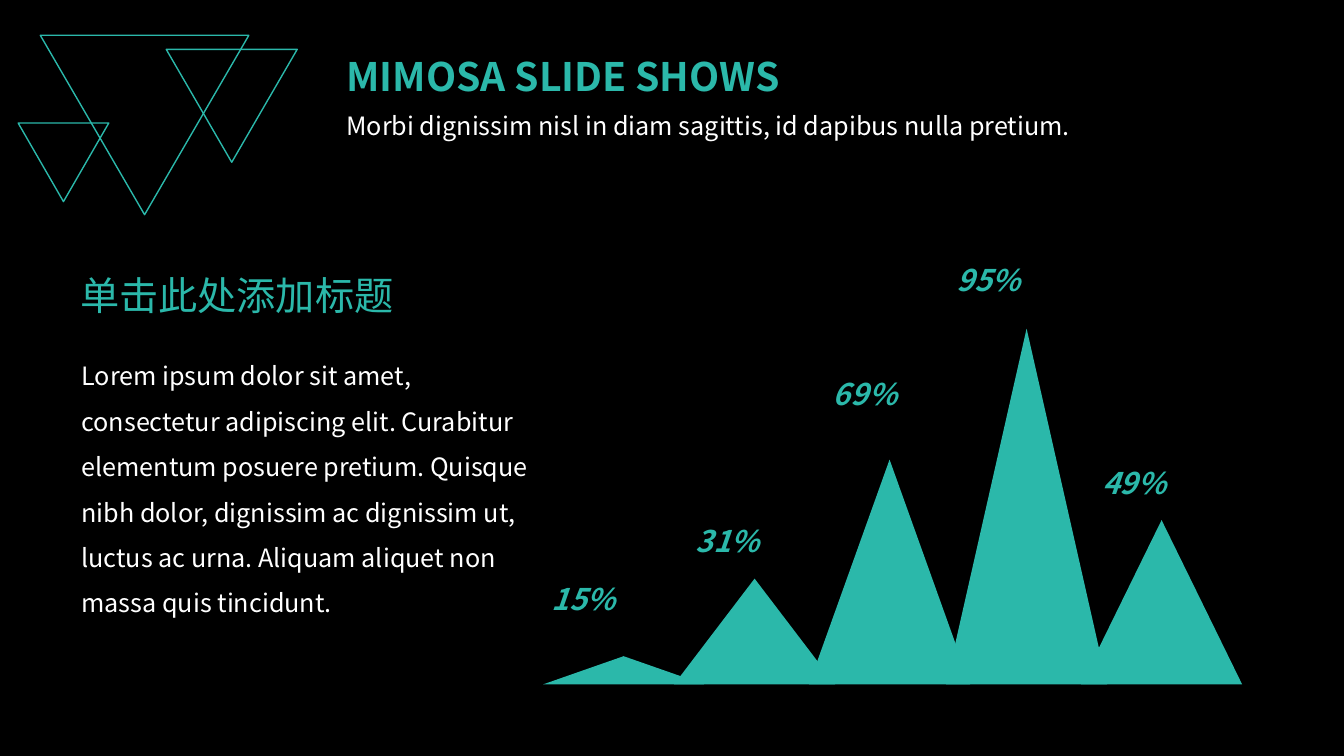
"""Build a dark slide with a row of percentage peaks beside a text column."""
from dataclasses import dataclass

from lxml.etree import SubElement
from pptx import Presentation
from pptx.dml.color import RGBColor
from pptx.enum.shapes import MSO_SHAPE as Shape
from pptx.enum.text import MSO_AUTO_SIZE as AutoSize
from pptx.oxml.ns import qn
from pptx.util import Inches, Pt


@dataclass(frozen=True)
class Theme:
    """Colours, font and type sizes."""
    background: RGBColor = RGBColor(0x00, 0x00, 0x00)
    accent: RGBColor = RGBColor(0x2B, 0xB8, 0xAA)
    body: RGBColor = RGBColor(0xFF, 0xFF, 0xFF)
    font: str = "Noto Sans CJK SC"
    heading_size: float = 28
    label_size: float = 21.3
    body_size: float = 18


THEME = Theme()
TITLE = "MIMOSA SLIDE SHOWS"
SUBTITLE = "Morbi dignissim nisl in diam sagittis, id dapibus nulla pretium."
HEADING = "单击此处添加标题"
PARAGRAPH = (
    "Lorem ipsum dolor sit amet, consectetur adipiscing elit. Curabitur "
    "elementum posuere pretium. Quisque nibh dolor, dignissim ac dignissim ut, "
    "luctus ac urna. Aliquam aliquet non massa quis tincidunt."
)
OUTLINE_TRIANGLES = [
    (0.4, 0.35, 2.07, 1.78),
    (1.65, 0.49, 1.3, 1.12),
    (0.18, 1.22, 0.9, 0.78),
]
PEAKS = [
    {"label": "15%", "apex": (6.19, 6.51), "label_at": (5.38, 5.71)},
    {"label": "31%", "apex": (7.49, 5.74), "label_at": (6.81, 5.14)},
    {"label": "69%", "apex": (8.83, 4.56), "label_at": (8.17, 3.68)},
    {"label": "95%", "apex": (10.19, 3.26), "label_at": (9.4, 2.55)},
    {"label": "49%", "apex": (11.53, 5.16), "label_at": (10.84, 4.56)},
]
BASELINE = 6.79
HALF_BASE = 0.8
LABEL_SIZE = (1.73, 0.46)


def add_text(slide, text, box, *, size, color=THEME.accent, bold=False,
             italic=False, line_spacing=None):
    """Add one paragraph of formatted text in a wrapping box."""
    frame = slide.shapes.add_textbox(*map(Inches, box)).text_frame
    frame.word_wrap = True
    frame.auto_size = AutoSize.SHAPE_TO_FIT_TEXT
    paragraph = frame.paragraphs[0]
    if line_spacing:
        paragraph.line_spacing = line_spacing
    run = paragraph.add_run()
    run.text = text
    font = run.font
    font.size, font.bold, font.italic = Pt(size), bold, italic
    font.color.rgb = color
    font.name = THEME.font
    SubElement(run._r.get_or_add_rPr(), qn("a:ea"), typeface=THEME.font)


def add_outline_triangle(slide, box):
    """Add an unfilled triangle that points down."""
    triangle = slide.shapes.add_shape(Shape.ISOSCELES_TRIANGLE, *map(Inches, box))
    triangle.rotation = 180
    triangle.shadow.inherit = False
    triangle.fill.background()
    triangle.line.color.rgb = THEME.accent
    triangle.line.width = Pt(1)


def add_peak(slide, apex):
    """Add a filled peak that stands on the baseline."""
    center, top = apex
    middle = (top + BASELINE) / 2
    outline = [
        (center + HALF_BASE / 2, middle),
        (center + HALF_BASE, BASELINE),
        (center, BASELINE),
        (center - HALF_BASE, BASELINE),
        (center - HALF_BASE / 2, middle),
    ]
    builder = slide.shapes.build_freeform(Inches(center), Inches(top))
    builder.add_line_segments([(Inches(x), Inches(y)) for x, y in outline], close=True)
    peak = builder.convert_to_shape()
    peak.shadow.inherit = False
    peak.fill.solid()
    peak.fill.fore_color.rgb = THEME.accent
    peak.line.fill.background()


def main():
    """Compose the slide and save it."""
    deck = Presentation()
    deck.slide_width, deck.slide_height = Inches(13.34), Inches(7.5)
    slide = deck.slides.add_slide(deck.slide_layouts[6])
    slide.background.fill.solid()
    slide.background.fill.fore_color.rgb = THEME.background

    for box in OUTLINE_TRIANGLES:
        add_outline_triangle(slide, box)
    add_text(slide, TITLE, (3.34, 0.47, 5.69, 0.57), size=THEME.heading_size, bold=True)
    add_text(slide, SUBTITLE, (3.34, 1.05, 9.45, 0.4), size=THEME.body_size,
             color=THEME.body)

    for peak in PEAKS:
        add_peak(slide, peak["apex"])
        add_text(slide, peak["label"], peak["label_at"] + LABEL_SIZE,
                 size=THEME.label_size, bold=True, italic=True)

    add_text(slide, PARAGRAPH, (0.71, 3.38, 4.78, 2.83), size=THEME.body_size,
             color=THEME.body, line_spacing=1.5)
    add_text(slide, HEADING, (0.7, 2.64, 3.53, 0.57), size=THEME.heading_size)
    deck.save("out.pptx")


if __name__ == "__main__":
    main()
